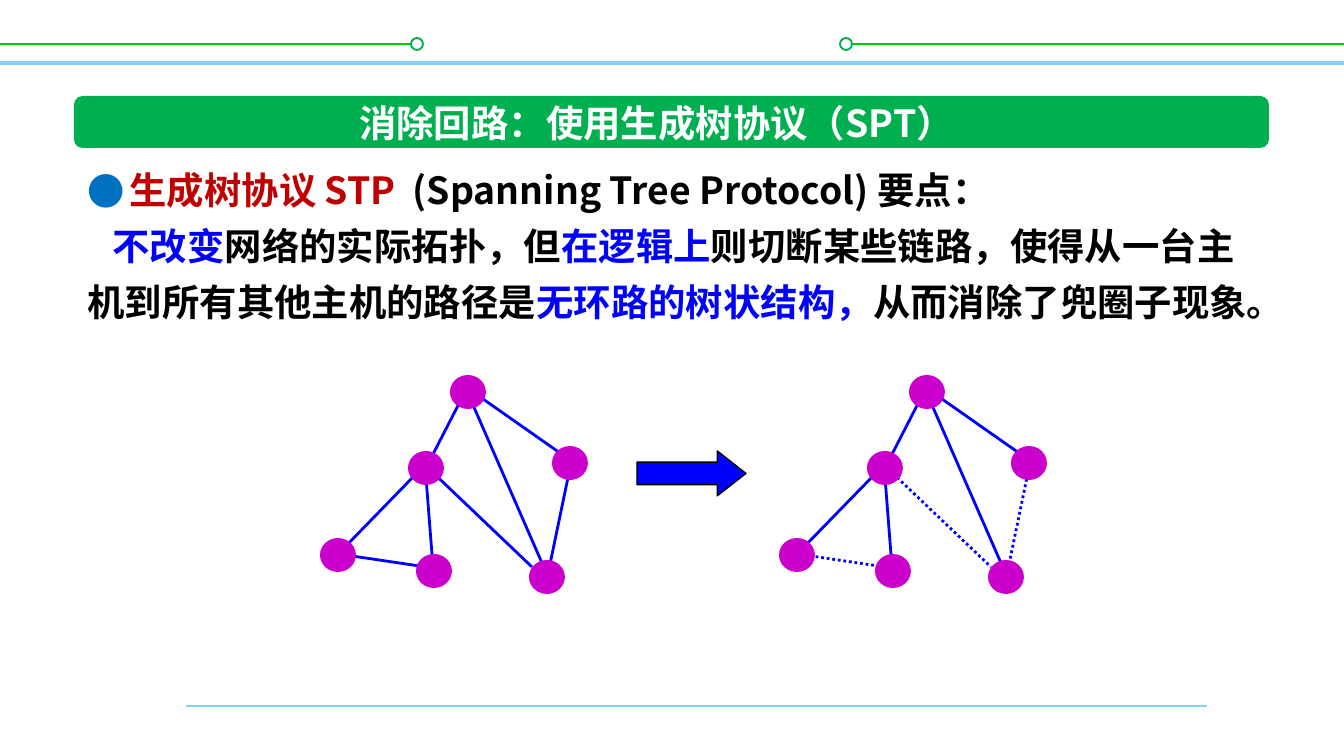
from lxml import etree
from pptx import Presentation
from pptx.dml.color import RGBColor
from pptx.enum.dml import MSO_LINE
from pptx.enum.shapes import MSO_CONNECTOR, MSO_SHAPE
from pptx.enum.text import MSO_ANCHOR, MSO_AUTO_SIZE, PP_ALIGN
from pptx.oxml.ns import qn
from pptx.util import Pt

PX = 914400 / 134.4
FONT = "Noto Sans CJK SC"

STRAIGHT = MSO_CONNECTOR.STRAIGHT
OVAL = MSO_SHAPE.OVAL
ROUNDED = MSO_SHAPE.ROUNDED_RECTANGLE
RIGHT_ARROW = MSO_SHAPE.RIGHT_ARROW
DOTTED = MSO_LINE.ROUND_DOT
MIDDLE, TOP = MSO_ANCHOR.MIDDLE, MSO_ANCHOR.TOP
CENTER, LEFT = PP_ALIGN.CENTER, PP_ALIGN.LEFT
NO_FIT = MSO_AUTO_SIZE.NONE

WHITE = RGBColor(0xFF, 0xFF, 0xFF)
BLACK = RGBColor(0x00, 0x00, 0x00)
SKY = RGBColor(0x85, 0xD1, 0xF7)
LIME = RGBColor(0x00, 0xCC, 0x00)
GREEN = RGBColor(0x00, 0xB0, 0x50)
RED = RGBColor(0xC0, 0x00, 0x00)
BLUE = RGBColor(0x00, 0x00, 0xFF)
BULLET_BLUE = RGBColor(0x00, 0x70, 0xC0)
PURPLE = RGBColor(0xCC, 0x00, 0xCC)

# Network drawing: left and top of each node, then links as end points
NODE_SIZE = (36, 34)
NODES = [(450, 375), (552, 446), (529, 560), (320, 538), (416, 554), (408, 451)]
TREE_LINKS = [
    (465, 392, 426, 468),
    (473, 392, 570, 460),
    (473, 405, 542, 563),
    (345, 547, 417, 473),
    (433, 567, 425, 464),
]
CUT_LINKS = [
    (426, 466, 532, 567),
    (570, 468, 548, 574),
    (426, 567, 345, 555),
]
GRAPH_STEP = 459


def px(value):
    return round(value * PX)


def add_line(shapes, ends, color, width, dash=None):
    line = shapes.add_connector(STRAIGHT, *map(px, ends))
    line.line.color.rgb = color
    line.line.width = Pt(width)
    if dash is not None:
        line.line.dash_style = dash
    etree.SubElement(line.element.spPr, qn("a:effectLst"))


def add_shape(shapes, kind, area, fill, line_color=None, line_width=1):
    shape = shapes.add_shape(kind, *map(px, area))
    shape.shadow.inherit = False
    shape.fill.solid()
    shape.fill.fore_color.rgb = fill
    if line_color is None:
        shape.line.fill.background()
    else:
        shape.line.color.rgb = line_color
        shape.line.width = Pt(line_width)
    return shape


def place(box, area, anchor, wrap):
    box.left, box.top, box.width, box.height = map(px, area)
    frame = box.text_frame
    frame.auto_size = NO_FIT
    frame.vertical_anchor = anchor
    frame.word_wrap = wrap
    return frame


def add_span(para, text, *, color, size=20):
    span = para.add_run()
    span.text = text
    span.font.name = FONT
    span.font.size = Pt(size)
    span.font.bold = True
    span.font.color.rgb = color
    etree.SubElement(span.font._element, qn("a:ea"), typeface=FONT)


def format_para(para, margin, indent, bullet=None):
    props = para._p.get_or_add_pPr()
    props.set("marL", str(px(margin)))
    props.set("indent", str(px(indent)))
    if bullet:
        color = etree.SubElement(props, qn("a:buClr"))
        etree.SubElement(color, qn("a:srgbClr"), val=str(BULLET_BLUE))
        etree.SubElement(props, qn("a:buFont"), typeface=FONT)
        etree.SubElement(props, qn("a:buChar"), char=bullet)
    else:
        etree.SubElement(props, qn("a:buNone"))
    para.alignment = LEFT
    para.line_spacing = Pt(30)
    para.space_before = Pt(0)


def add_frame_lines(page):
    shapes = page.shapes
    add_line(shapes, (0, 63, 1344, 63), SKY, 2)
    for start, end, ring_left in ((0, 417, 411), (840, 1344, 840)):
        add_line(shapes, (start, 44, end, 44), LIME, 1)
        add_shape(shapes, OVAL, (ring_left, 38, 12, 12), WHITE, GREEN)
    add_line(shapes, (186, 706, 1207, 706), SKY, 1.5)


def add_title(page):
    title = page.shapes.title
    bar = add_shape(page.shapes, ROUNDED, (74, 96, 1195, 52), GREEN)
    title.element.addprevious(bar.element)
    para = place(title, (332, 93, 649, 59), MIDDLE, False).paragraphs[0]
    para.alignment = CENTER
    add_span(para, "消除回路：使用生成树协议（SPT）", color=WHITE)


def add_body(page):
    frame = place(page.placeholders[1], (74, 149, 1190, 183), TOP, True)
    heading = frame.paragraphs[0]
    format_para(heading, 42, -42, bullet="●")
    add_span(heading, "生成树协议 STP  ", color=RED)
    add_span(heading, "(Spanning Tree Protocol) 要点：", color=BLACK)

    detail = frame.add_paragraph()
    format_para(detail, 0, 25)
    for text, color in (
        ("不改变", BLUE),
        ("网络的实际拓扑，但", BLACK),
        ("在逻辑上", BLUE),
        ("则切断某些链路，使得从一台主机到所有其他主机的路径是", BLACK),
        ("无环路的树状结构，", BLUE),
        ("从而消除了兜圈子现象。", BLACK),
    ):
        add_span(detail, text, color=color)


def add_graph(page, shift=0, cut_dash=None):
    shapes = page.shapes.add_group_shape().shapes
    for links, dash in ((TREE_LINKS, None), (CUT_LINKS, cut_dash)):
        for x1, y1, x2, y2 in links:
            add_line(shapes, (x1 + shift, y1, x2 + shift, y2), BLUE, 1.5, dash)
    for left, top in NODES:
        add_shape(shapes, OVAL, (left + shift, top, *NODE_SIZE), PURPLE)


def main():
    deck = Presentation()
    deck.slide_width, deck.slide_height = px(1344), px(756)
    page = deck.slides.add_slide(deck.slide_layouts[1])

    # Frame and text
    add_frame_lines(page)
    add_title(page)
    add_body(page)

    # Looped network, arrow, spanning tree
    add_graph(page)
    arrow = add_shape(page.shapes, RIGHT_ARROW, (637, 451, 109, 45), BLUE, BLACK, 0.75)
    arrow.adjustments[1] = 0.64
    add_graph(page, GRAPH_STEP, DOTTED)

    deck.save("out.pptx")


if __name__ == "__main__":
    main()
